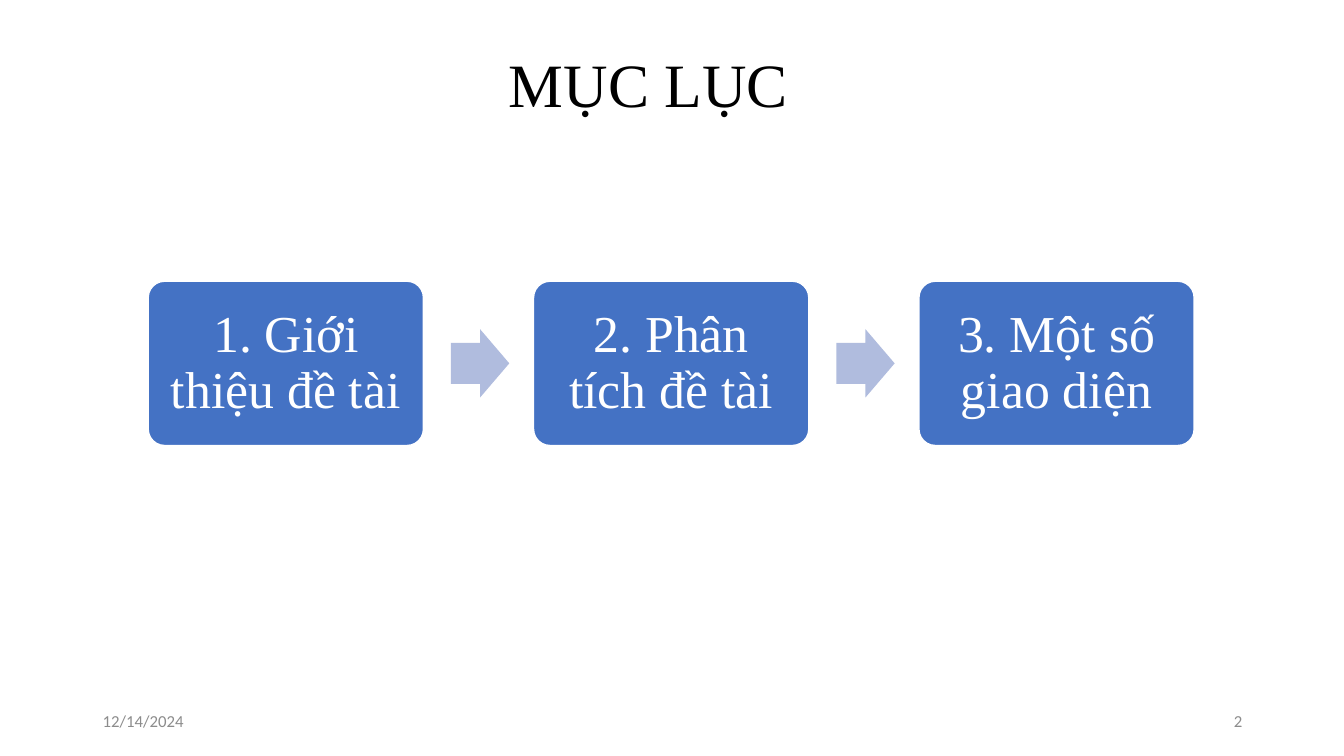
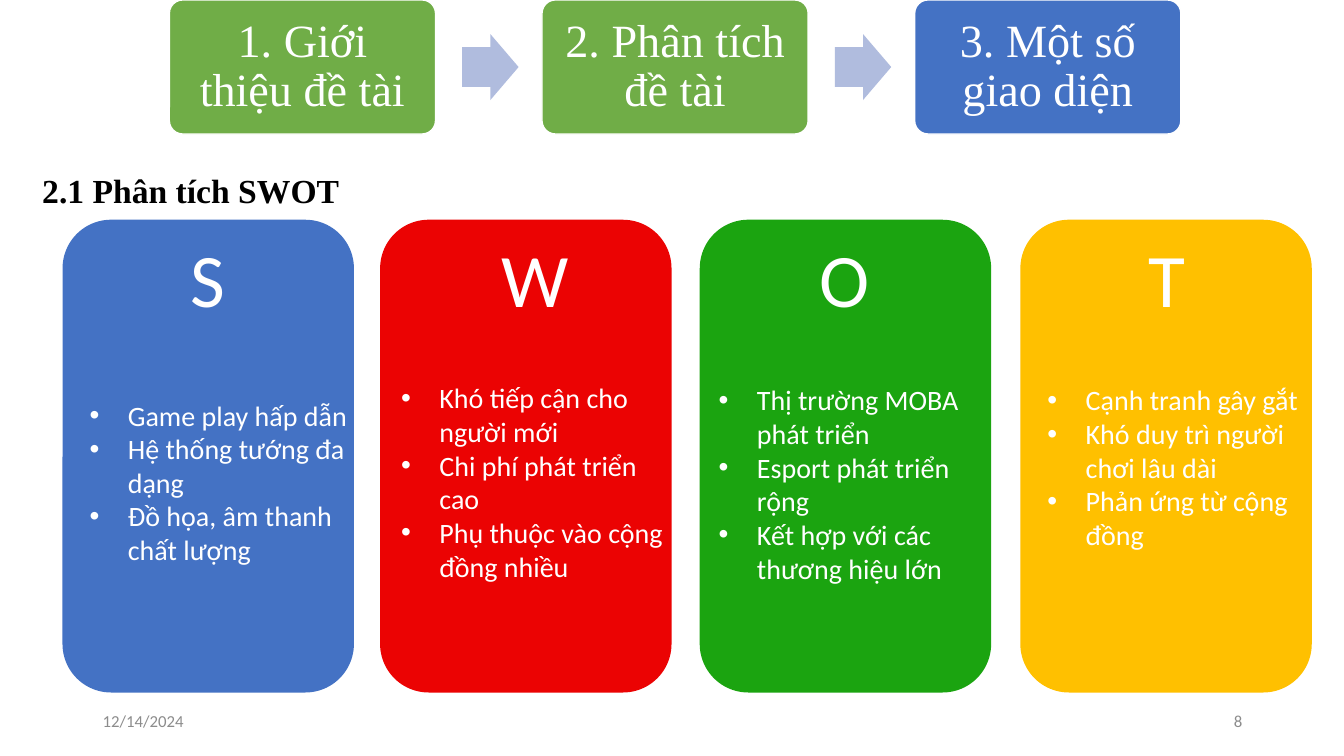
import pptx
import pptx.dml.color
import pptx.enum.shapes
import pptx.enum.text
import pptx.oxml
import pptx.oxml.ns
import pptx.util

Inches = pptx.util.Inches
Pt = pptx.util.Pt
RGBColor = pptx.dml.color.RGBColor
SHAPE = pptx.enum.shapes.MSO_SHAPE
ALIGN = pptx.enum.text.PP_ALIGN
ANCHOR = pptx.enum.text.MSO_ANCHOR

SERIF, SANS = "Times New Roman", "Calibri"
THEME = {
    "blue": "4472C4", "green": "70AD47", "arrow": "B0BCDE", "white": "FFFFFF",
    "red": "EB0303", "deep green": "1BA410", "amber": "FFC000",
    "title": {"name": SERIF, "size": 44, "color": "000000"},
    "heading": {"name": SERIF, "size": 24, "color": "000000", "bold": True},
    "step": {"name": SERIF, "color": "FFFFFF"},
    "letter": {"name": SANS, "size": 54, "color": "FFFFFF"},
    "bullet": {"name": SANS, "size": 20, "color": "FFFFFF"},
    "footer": {"name": SANS, "size": 12, "color": "8C8C8C"},
}


def add_shape(page, kind, at, fill, line=None):
    shape = page.shapes.add_shape(kind, *map(Inches, at))
    shape.shadow.inherit = False
    shape.fill.solid()
    shape.fill.fore_color.rgb = RGBColor.from_string(fill)
    if line:
        shape.line.color.rgb = RGBColor.from_string(line)
        shape.line.width = Pt(1)
    else:
        shape.line.fill.background()
    return shape


def write(box, lines, style, align=ALIGN.LEFT, spacing=None, bullets=False, **frame_format):
    """Fill a box with one paragraph per line; frame_format sets its text frame."""
    frame = box.text_frame
    for name, value in {"word_wrap": True, **frame_format}.items():
        setattr(frame, name, value)
    for index, line in enumerate(lines):
        para = frame.add_paragraph() if index else frame.paragraphs[0]
        para.alignment = align
        if spacing:
            para.line_spacing = spacing
        if bullets:
            properties = para._p.get_or_add_pPr()
            properties.set("marL", str(Inches(0.38)))
            properties.set("indent", str(-Inches(0.38)))
            properties.append(pptx.oxml.parse_xml(
                f'<a:buFont {pptx.oxml.ns.nsdecls("a")} typeface="Arial"/>'))
            properties.append(pptx.oxml.parse_xml(
                f'<a:buChar {pptx.oxml.ns.nsdecls("a")} char="•"/>'))
        span = para.add_run()
        span.text = line
        for name, value in style.items():
            if name == "color":
                span.font.color.rgb = RGBColor.from_string(value)
            else:
                setattr(span.font, name, Pt(value) if name == "size" else value)


deck = pptx.Presentation()
deck.slide_width, deck.slide_height = Inches(13.33), Inches(7.5)

STEPS = ["1. Giới thiệu đề tài", "2. Phân tích đề tài", "3. Một số giao diện"]
# Page number, steps reached, text size, inset, then left, top, width and height of the first step
PAGES = [
    ("2", 0, 37, 0.15, (1.47, 2.79, 2.73, 1.63)),
    ("8", 2, 33, 0.14, (1.68, 0, 2.64, 1.33)),
]
pages = []
for number, reached, size, inset, (left, top, width, height) in PAGES:
    page = deck.slides.add_slide(deck.slide_layouts[6])
    pages.append(page)
    margins = {f"margin_{side}": Inches(inset) for side in ("left", "top", "right", "bottom")}
    for index, label in enumerate(STEPS):
        x = left + index * 1.4 * width
        fill = THEME["green" if index < reached else "blue"]
        step = add_shape(page, SHAPE.ROUNDED_RECTANGLE, (x, top, width, height), fill, THEME["white"])
        step.adjustments[0] = 0.1
        write(step, [label], {**THEME["step"], "size": size}, ALIGN.CENTER, 0.9,
              vertical_anchor=ANCHOR.MIDDLE, **margins)
        if index < len(STEPS) - 1:
            arrow_height = 0.248 * width
            arrow = add_shape(page, SHAPE.RIGHT_ARROW,
                              (x + 1.1 * width, top + (height - arrow_height) / 2,
                               0.212 * width, arrow_height), THEME["arrow"])
            arrow.adjustments[0] = 0.6
            arrow.adjustments[1] = 0.5
    for x, text, align in ((0.92, "12/14/2024", ALIGN.LEFT), (9.42, number, ALIGN.RIGHT)):
        footer = page.shapes.add_textbox(*map(Inches, (x, 6.95, 3, 0.4)))
        write(footer, [text], THEME["footer"], align, vertical_anchor=ANCHOR.MIDDLE)

contents, swot = pages

title = contents.shapes.add_textbox(*map(Inches, (4.95, 0.41, 3, 0.84)))
write(title, ["MỤC LỤC"], THEME["title"], word_wrap=False)

heading = swot.shapes.add_textbox(*map(Inches, (0.32, 1.44, 3.59, 0.63)))
write(heading, ["2.1 Phân tích SWOT"], THEME["heading"], ALIGN.JUSTIFY, 1.5)

# Letter, fill, card left, letter centre, list left, list top, list lines
CARDS = [
    ("S", "blue", 0.62, 2.06, 0.79, 3.9,
     ["Game play hấp dẫn", "Hệ thống tướng đa dạng", "Đồ họa, âm thanh chất lượng"]),
    ("W", "red", 3.77, 5.31, 3.88, 3.73,
     ["Khó tiếp cận cho người mới", "Chi phí phát triển cao", "Phụ thuộc vào cộng đồng nhiều"]),
    ("O", "deep green", 6.94, 8.38, 7.03, 3.75,
     ["Thị trường MOBA phát triển", "Esport phát triển rộng", "Kết hợp với các thương hiệu lớn"]),
    ("T", "amber", 10.12, 11.57, 10.29, 3.75,
     ["Cạnh tranh gây gắt", "Khó duy trì người chơi lâu dài", "Phản ứng từ cộng đồng"]),
]
for letter, fill, card_left, centre, list_left, list_top, lines in CARDS:
    add_shape(swot, SHAPE.ROUNDED_RECTANGLE, (card_left, 2.18, 2.89, 4.69), THEME[fill])
    letter_box = swot.shapes.add_textbox(*map(Inches, (centre - 0.45, 2.25, 0.9, 1.01)))
    write(letter_box, [letter], THEME["letter"], ALIGN.CENTER, word_wrap=False)
    list_box = swot.shapes.add_textbox(*map(Inches, (list_left, list_top, 2.86, 2.12)))
    write(list_box, lines, THEME["bullet"], bullets=True)

deck.save("out.pptx")
